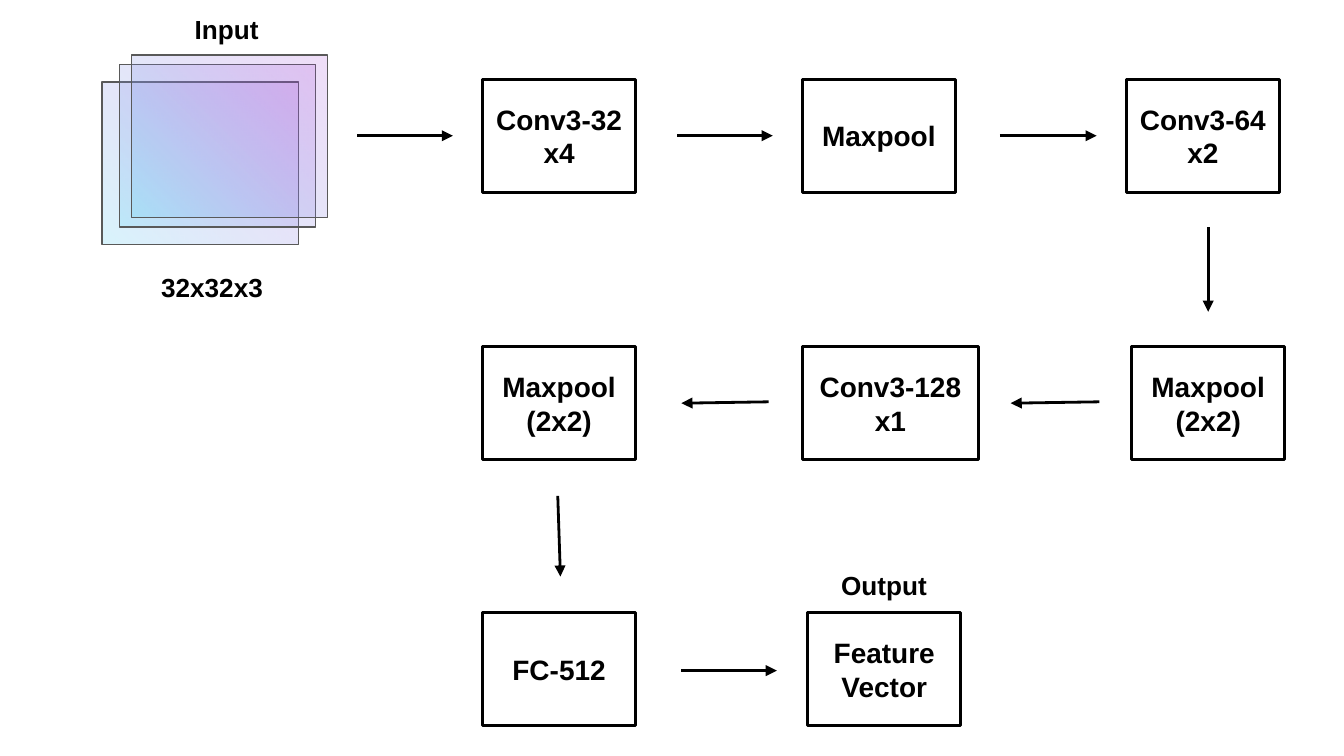
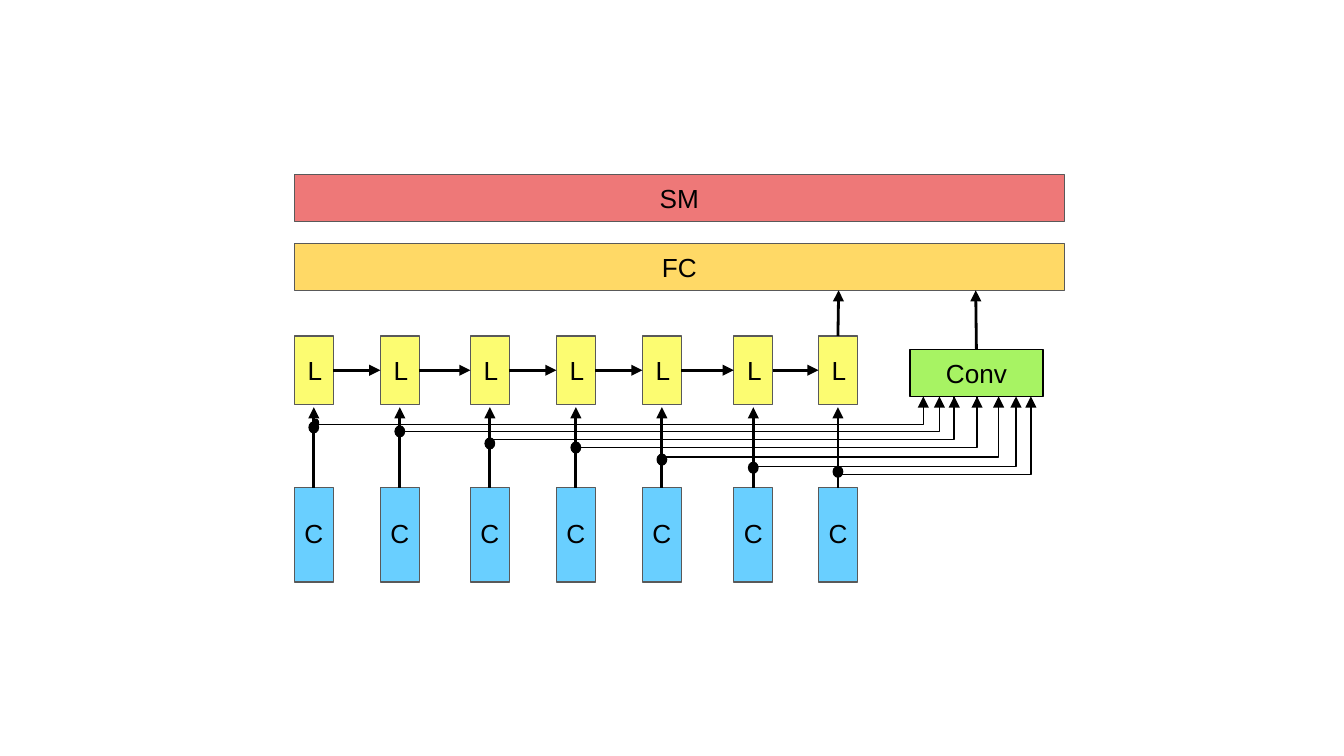
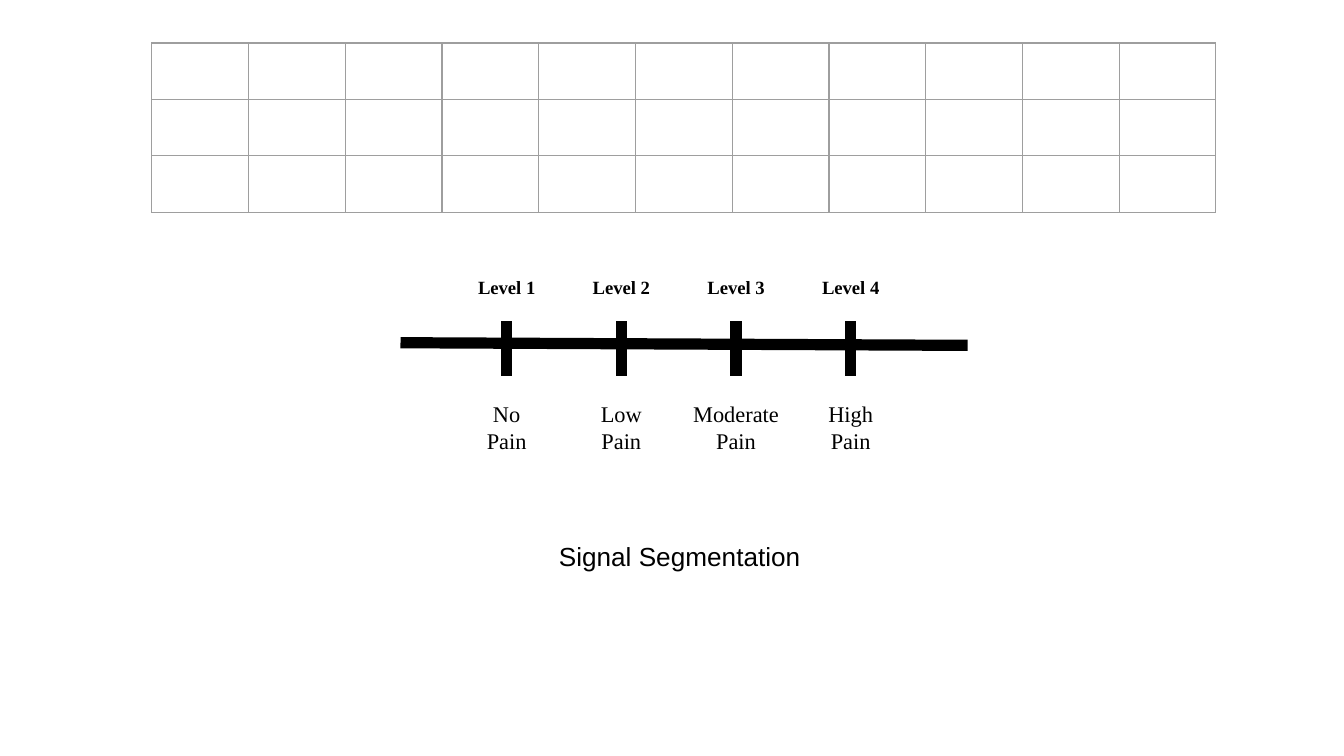
from lxml.etree import SubElement
from pptx import Presentation
from pptx.dml.color import RGBColor
from pptx.enum.shapes import MSO_CONNECTOR as CONNECTOR, MSO_SHAPE as SHAPE
from pptx.enum.text import MSO_ANCHOR as ANCHOR, PP_ALIGN as ALIGN
from pptx.oxml.ns import qn
from pptx.util import Inches, Pt

COLORS = {
    "black": "000000", "white": "FFFFFF", "outline": "595959", "grid": "9E9E9E",
    "cyan": "69D4F4", "purple": "9F39D5", "lstm": "FCFC71", "cnn": "69CFFF",
    "conv": "A7F363", "dense": "FFD966", "softmax": "EE7878",
}


def add_box(slide, place, text="", fill=None, outline="outline", width=0.75, size=14,
            bold=False, font="Arial", align=ALIGN.CENTER, kind=SHAPE.RECTANGLE):
    left, top, box_width, box_height = [Inches(value) for value in place]
    if fill:
        shape = slide.shapes.add_shape(kind, left, top, box_width, box_height)
        shape.shadow.inherit = False
        shape.fill.solid()
        shape.fill.fore_color.rgb = RGBColor.from_string(COLORS[fill])
        shape.line.color.rgb = RGBColor.from_string(COLORS[outline])
        shape.line.width = Pt(width)
    else:
        shape = slide.shapes.add_textbox(left, top, box_width, box_height)
    if text:
        frame = shape.text_frame
        frame.word_wrap = True
        frame.vertical_anchor = ANCHOR.MIDDLE if fill else ANCHOR.TOP
        frame.margin_left = frame.margin_right = Inches(0.1)
        frame.margin_top = frame.margin_bottom = Inches(0.1)
        frame.text = text
        for paragraph in frame.paragraphs:
            paragraph.alignment = align
            paragraph.font.name = font
            paragraph.font.size = Pt(size)
            paragraph.font.bold = bold
            paragraph.font.color.rgb = RGBColor.from_string(COLORS["black"])
    return shape


def add_line(slide, start, end, width=1.5, arrow=True, bent=False):
    kind = CONNECTOR.ELBOW if bent else CONNECTOR.STRAIGHT
    points = [Inches(value) for value in (*start, *end)]
    connector = slide.shapes.add_connector(kind, *points)
    connector.line.color.rgb = RGBColor.from_string(COLORS["black"])
    connector.line.width = Pt(width)
    properties = connector._element.spPr
    if arrow:
        SubElement(properties.find(qn("a:ln")), qn("a:tailEnd"), type="triangle")
    if bent:
        geometry = properties.find(qn("a:prstGeom"))
        adjustments = geometry.find(qn("a:avLst"))
        if adjustments is None:
            adjustments = SubElement(geometry, qn("a:avLst"))
        SubElement(adjustments, qn("a:gd"), name="adj1", fmla="val 100000")
    SubElement(properties, qn("a:effectLst"))
    return connector


presentation = Presentation()
presentation.slide_width = Inches(10)
presentation.slide_height = presentation.slide_width * 9 // 16
blank = presentation.slide_layouts[6]

slide = presentation.slides.add_slide(blank)
for left, top in [(0.76, 0.61), (0.89, 0.48), (0.98, 0.41)]:
    channel = add_box(slide, (left, top, 1.46, 1.21), fill="white")
    channel.fill.gradient()
    channel.fill.gradient_angle = 45
    stops = channel.fill.gradient_stops
    for stop, position, color in zip(stops, (0, 1), ("cyan", "purple")):
        stop.position = position
        stop.color.rgb = RGBColor.from_string(COLORS[color])
    gradient = channel._element.spPr.find(qn("a:gradFill"))
    for color, opacity in zip(gradient.iter(qn("a:srgbClr")), (26000, 17000)):
        SubElement(color, qn("a:alpha"), val=str(opacity))

layers = [
    (3.59, 0.59, 1.14, "Conv3-32\nx4"), (5.97, 0.59, 1.14, "Maxpool"),
    (8.38, 0.59, 1.14, "Conv3-64\nx2"), (8.42, 2.58, 1.14, "Maxpool\n(2x2)"),
    (5.97, 2.58, 1.31, "Conv3-128\nx1"), (3.59, 2.58, 1.14, "Maxpool\n(2x2)"),
    (3.59, 4.56, 1.14, "FC-512"), (6.01, 4.56, 1.14, "Feature\nVector"),
]
for left, top, width, text in layers:
    add_box(slide, (left, top, width, 0.84), text, "white", "black", 1.5, 15, True)

flow = [
    ((2.66, 1.01), (3.37, 1.01)), ((5.04, 1.01), (5.75, 1.01)),
    ((7.44, 1.01), (8.16, 1.01)), ((8.99, 1.69), (8.99, 2.32)),
    ((8.18, 2.99), (7.52, 3)), ((5.72, 2.99), (5.07, 3)),
    ((4.15, 3.69), (4.17, 4.29)), ((5.07, 4.99), (5.78, 4.99)),
]
for start, end in flow:
    add_line(slide, start, end)

captions = [
    ((6.16, 4.14, 0.93, 0.43), "Output"), ((1.35, 0, 0.71, 0.51), "Input"),
    ((1.1, 1.92, 1.04, 0.3), "32x32x3"),
]
for place, text in captions:
    add_box(slide, place, text, bold=True, align=ALIGN.LEFT)

slide = presentation.slides.add_slide(blank)
add_box(slide, (2.19, 1.81, 5.73, 0.35), "FC", "dense")
add_box(slide, (2.19, 1.3, 5.73, 0.35), "SM", "softmax")
conv = add_box(slide, (6.77, 2.6, 0.99, 0.35), "Conv", "conv", "black")

columns = [
    (2.19, 3.16, 3.14, 6.87), (2.83, 3.21, 3.17, 6.99), (3.5, 3.27, 3.26, 7.1),
    (4.14, 3.33, 3.29, 7.27), (4.78, 3.4, 3.38, 7.43), (5.46, 3.47, 3.44, 7.56),
    (6.09, 3.53, 3.47, 7.67),
]
previous = None
for index, (left, branch, dot_top, port) in enumerate(columns):
    center = left + 0.29 / 2
    lstm = add_box(slide, (left, 2.5, 0.29, 0.51), "L", "lstm", align=ALIGN.LEFT)
    cnn = add_box(slide, (left, 3.63, 0.29, 0.7), fill="cnn")
    add_box(slide, (center - 0.26, 3.75, 0.52, 0.45), "C")
    add_line(slide, (center, 3.63), (center, 3.03)).begin_connect(cnn, 0)
    if previous:
        step = add_line(slide, (left - 0.35, 2.76), (left, 2.76))
        step.begin_connect(previous, 3)
        step.end_connect(lstm, 1)
    previous = lstm
    has_stub = index < 4
    add_line(slide, (center, branch), (port, 2.95), 0.75, not has_stub, True)
    if has_stub:
        add_line(slide, (port, 3.13), (port, 2.95), 0.75)
    add_box(slide, (center - 0.07 / 2, dot_top, 0.07, 0.08), fill="black",
            outline="black", kind=SHAPE.OVAL)
add_box(slide, (2.33, 3.12, 0.04, 0.05), fill="black", outline="black", kind=SHAPE.OVAL)
add_line(slide, (6.24, 2.5), (6.24, 2.16)).begin_connect(previous, 0)
add_line(slide, (7.27, 2.6), (7.26, 2.16)).begin_connect(conv, 0)

slide = presentation.slides.add_slide(blank)
add_line(slide, (2.98, 2.55), (7.2, 2.57), 6, False)
pain_levels = [("No Pain", 0.6), ("Low Pain", 0.6), ("Moderate Pain", 0.92), ("High Pain", 0.6)]
tick_gap = (6.33 - 3.77) / 3
for index, (pain, width) in enumerate(pain_levels):
    tick = 3.77 + index * tick_gap
    add_line(slide, (tick, 2.39), (tick, 2.8), 6, False)
    add_box(slide, (tick - 0.87 / 2, 1.97, 0.87, 0.38), f"Level {index + 1}", size=10,
            bold=True, font="Times New Roman")
    add_box(slide, (tick - width / 2, 2.88, width, 0.5), pain, size=12,
            font="Times New Roman")
add_box(slide, (4.06, 3.92, 2.07, 0.38), "Signal Segmentation", align=ALIGN.LEFT)

segments = slide.shapes.add_table(3, 11, Inches(1.13), Inches(0.32),
                                  Inches(7.92), Inches(1.26)).table
segments.first_row = False
segments.horz_banding = False
for column in segments.columns:
    column.width = Inches(0.72)
for row in segments.rows:
    row.height = Inches(0.42)
    for cell in row.cells:
        properties = cell._tc.get_or_add_tcPr()
        for side in ("a:lnL", "a:lnR", "a:lnT", "a:lnB"):
            border = SubElement(properties, qn(side), w=str(Pt(0.75)))
            paint = SubElement(border, qn("a:solidFill"))
            SubElement(paint, qn("a:srgbClr"), val=COLORS["grid"])
        cell.fill.background()

presentation.save("out.pptx")
